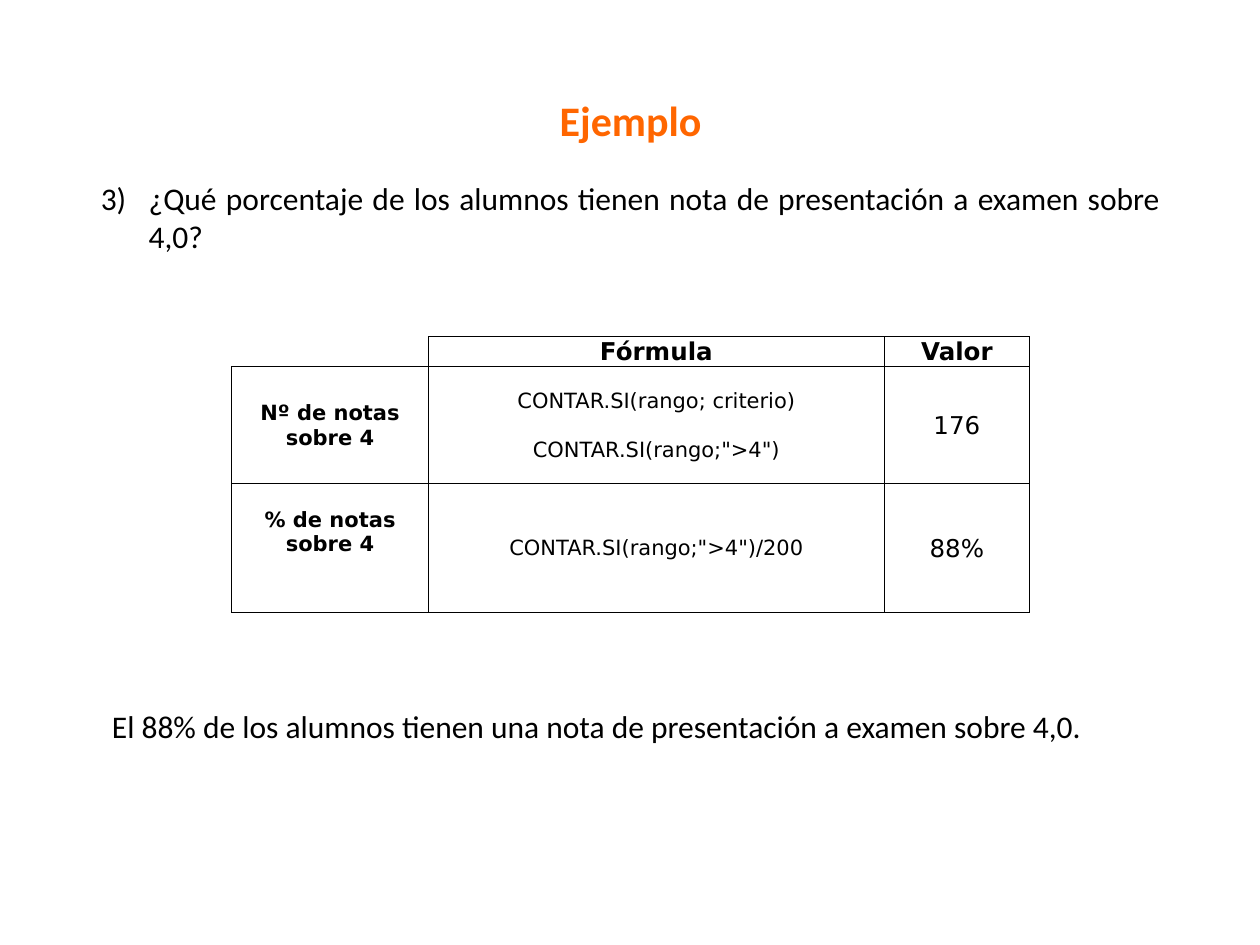
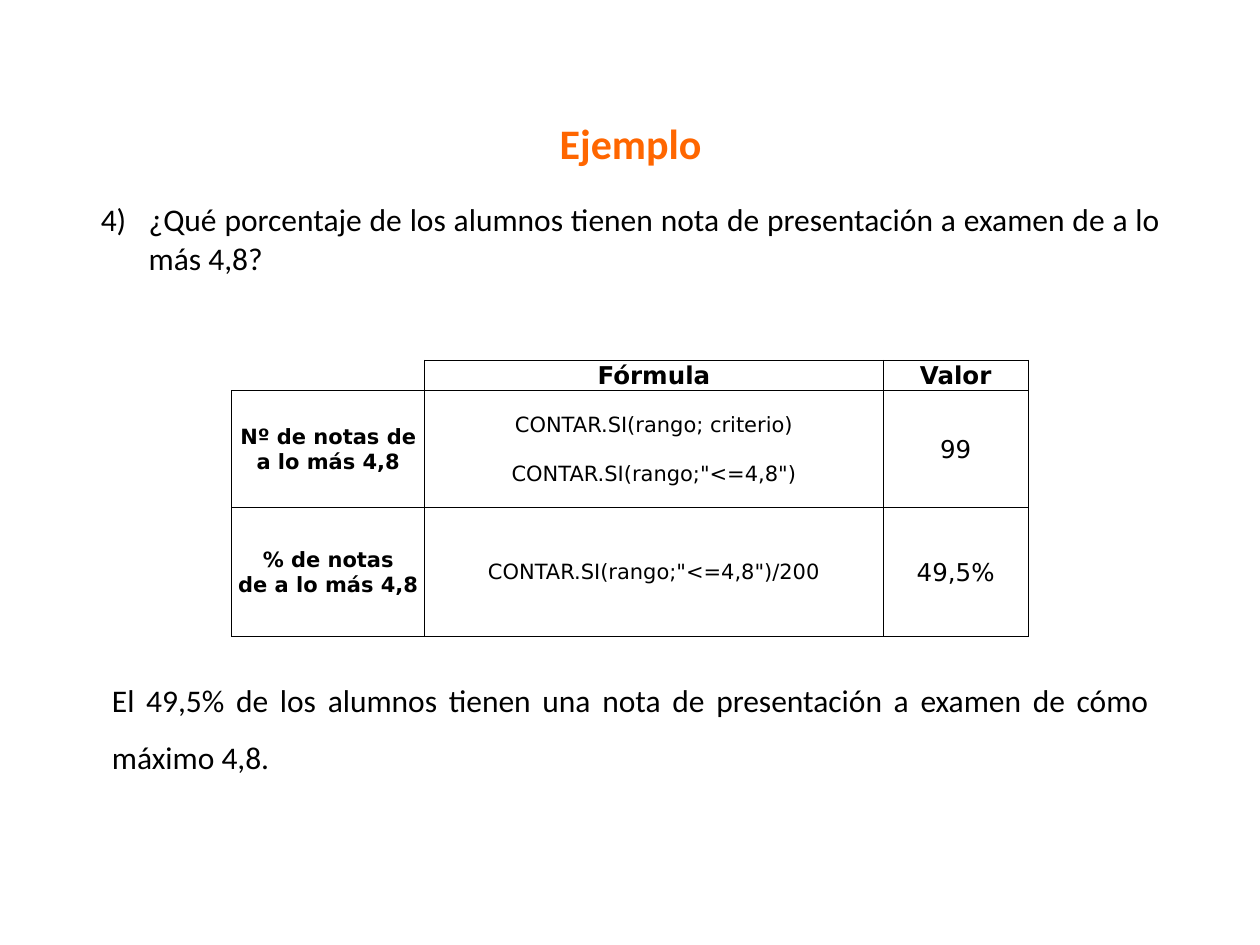
from dataclasses import dataclass

from lxml import etree
from pptx import Presentation
from pptx.dml.color import RGBColor as RGB
from pptx.enum.text import MSO_ANCHOR as ANCHOR, MSO_AUTO_SIZE as FIT, PP_ALIGN as ALIGN
from pptx.oxml.ns import qn
from pptx.util import Inches, Pt


@dataclass(frozen=True)
class Theme:
    accent: RGB = RGB(0xFF, 0x66, 0x00)
    ink: RGB = RGB(0, 0, 0)
    paper: RGB = RGB(0xFF, 0xFF, 0xFF)
    text_font: str = "Calibri"
    table_font: str = "DejaVu Sans"
    title: int = 24
    body: int = 18
    large: int = 14
    small: int = 12
    border: float = 0.5


T = Theme()
LEFT, WIDTH = Inches(0.79), Inches(8.43)

EXAMPLES = [
    dict(
        title_top=0.7, question_top=1.34, table_top=2.67, answer_top=5.41, answer_height=0.51,
        number=3, columns=(1.56, 3.62, 1.15), percent_bottom=0.26,
        question="¿Qué porcentaje de los alumnos tienen nota de presentación a examen sobre 4,0?",
        rows=[
            ("", "Fórmula", "Valor"),
            ("Nº de notas sobre 4", 'CONTAR.SI(rango; criterio)\nCONTAR.SI(rango;">4")', "176"),
            ("% de notas\nsobre 4", 'CONTAR.SI(rango;">4")/200', "88%"),
        ],
        answer="El 88% de los alumnos tienen una nota de presentación a examen sobre 4,0.",
    ),
    dict(
        title_top=0.88, question_top=1.51, table_top=2.86, answer_top=5.21, answer_height=0.96,
        number=4, columns=(1.53, 3.64, 1.15), percent_bottom=0,
        question="¿Qué porcentaje de los alumnos tienen nota de presentación a examen de a lo más 4,8?",
        rows=[
            ("", "Fórmula", "Valor"),
            ("Nº de notas de a lo más 4,8", 'CONTAR.SI(rango; criterio)\nCONTAR.SI(rango;"<=4,8")', "99"),
            ("% de notas\nde a lo más 4,8", 'CONTAR.SI(rango;"<=4,8")/200', "49,5%"),
        ],
        answer="El 49,5% de los alumnos tienen una nota de presentación a examen de cómo máximo 4,8.",
    ),
]


def write(tf, text, size, font=T.text_font, color=T.ink, bold=False, align=ALIGN.CENTER):
    tf.text = text
    for p in tf.paragraphs:
        p.alignment = align
        for r in p.runs:
            r.font.name, r.font.size, r.font.bold = font, Pt(size), bold
            r.font.color.rgb = color


def new_table(slide, left, top, columns, heights):
    frame = slide.shapes.add_table(len(heights), len(columns), left, top, sum(columns), sum(heights))
    table = frame.table
    table.first_row = table.horz_banding = False
    for column, width in zip(table.columns, columns):
        column.width = width
    for row, height in zip(table.rows, heights):
        row.height = height
    for cell in table.iter_cells():
        cell.vertical_anchor = ANCHOR.MIDDLE
        cell.margin_left = cell.margin_right = cell.margin_top = Inches(0.01)
        cell.margin_bottom = 0
        cell.fill.background()
    return table


prs = Presentation()
prs.slide_width, prs.slide_height = Inches(10), Inches(7.5)

for ex in EXAMPLES:
    s = prs.slides.add_slide(prs.slide_layouts[5])

    # Title
    sp = s.shapes.title
    sp.left, sp.top, sp.width, sp.height = LEFT, Inches(ex["title_top"]), WIDTH, Inches(0.5)
    tf = sp.text_frame
    tf.vertical_anchor, tf.auto_size = ANCHOR.TOP, FIT.NONE
    write(tf, "Ejemplo", T.title, color=T.accent, bold=True)

    # Numbered question
    table = new_table(s, LEFT, Inches(ex["question_top"]), [WIDTH], [Inches(0.78)])
    tf = table.cell(0, 0).text_frame
    write(tf, ex["question"], T.body, align=ALIGN.JUSTIFY)
    pPr = tf.paragraphs[0]._p.get_or_add_pPr()
    pPr.set("marL", str(Inches(0.38)))
    pPr.set("indent", str(-Inches(0.38)))
    etree.SubElement(pPr, qn("a:buAutoNum"), type="arabicParenR", startAt=str(ex["number"]))

    # Formula table
    columns = [Inches(w) for w in ex["columns"]]
    heights = [Inches(h) for h in (0.24, 0.93, 1.02)]
    table = new_table(s, Inches(1.84), Inches(ex["table_top"]), columns, heights)
    for i, row in enumerate(ex["rows"]):
        for j, text in enumerate(row):
            cell = table.cell(i, j)
            cell.fill.solid()
            cell.fill.fore_color.rgb = T.paper
            size = T.large if i == 0 or j == 2 else T.small
            write(cell.text_frame, text, size, T.table_font, bold=i == 0 or j == 0)
            if not text:
                # Keeps the empty corner from stretching the header row
                etree.SubElement(cell.text_frame.paragraphs[0]._p, qn("a:endParaRPr"), sz=str(T.small * 100))
            if j == 1:
                for p in cell.text_frame.paragraphs[1:]:
                    p.space_before = Pt(T.large)

            # The corner cell has only its right and bottom borders
            tcPr = cell._tc.get_or_add_tcPr()
            for k, side in enumerate("LRTB"):
                ln = etree.Element(qn(f"a:ln{side}"), w=str(Pt(T.border)))
                if not text and side in "LT":
                    etree.SubElement(ln, qn("a:noFill"))
                else:
                    fill = etree.SubElement(ln, qn("a:solidFill"))
                    etree.SubElement(fill, qn("a:srgbClr"), val=str(T.ink))
                tcPr.insert(k, ln)
    table.cell(2, 0).margin_bottom = Inches(ex["percent_bottom"])

    # Answer
    sp = s.shapes.add_textbox(LEFT, Inches(ex["answer_top"]), WIDTH, Inches(ex["answer_height"]))
    tf = sp.text_frame
    tf.word_wrap = True
    write(tf, ex["answer"], T.body, align=ALIGN.JUSTIFY)
    tf.paragraphs[0].line_spacing = 1.5

prs.save("out.pptx")
